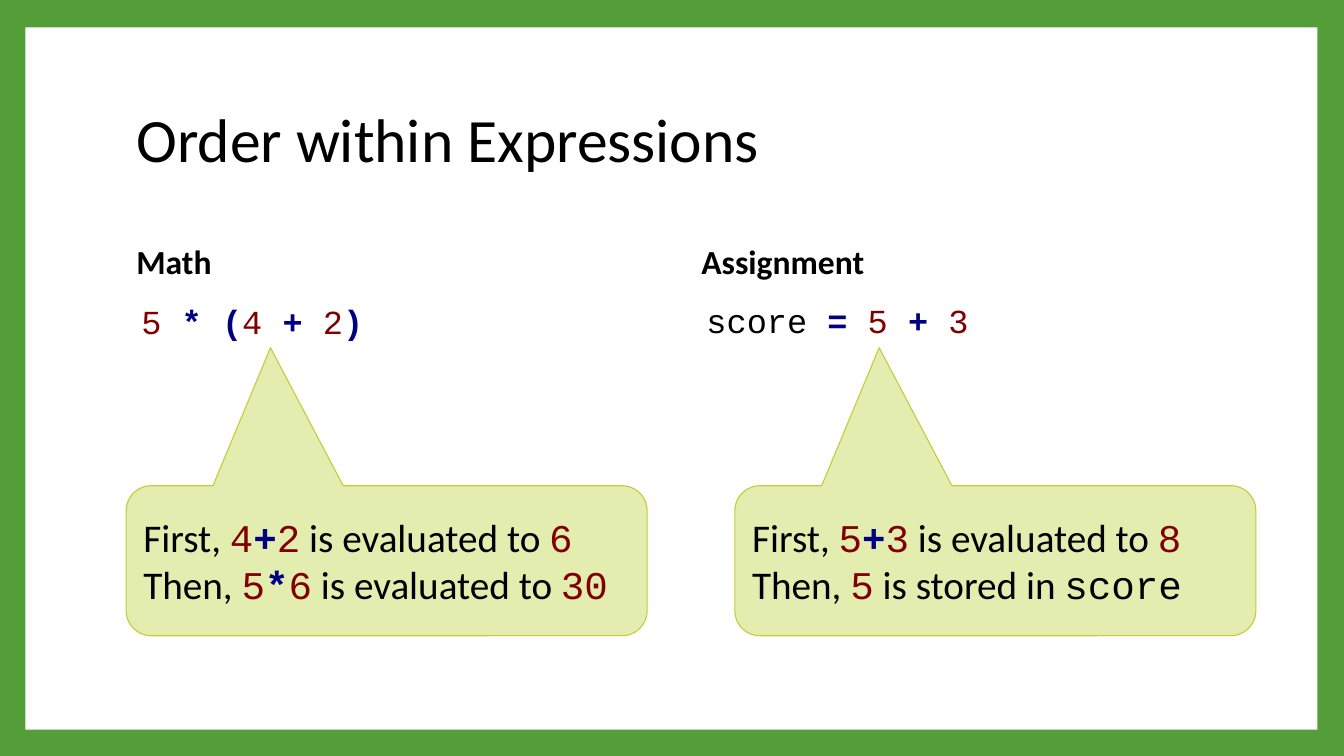
from itertools import groupby

from lxml import etree
from pptx import Presentation
from pptx import util as u
from pptx.dml.color import RGBColor
from pptx.enum import shapes, text
from pptx.oxml import ns

STYLES = {
    "prose": {"name": "Calibri", "bold": False, "color": "000000"},
    "name": {"name": "Courier New", "bold": False, "color": "000000"},
    "number": {"name": "Courier New", "bold": False, "color": "800000"},
    "operator": {"name": "Courier New", "bold": True, "color": "000080"},
    "heading": {"name": "Calibri", "bold": True, "color": "000000"},
}


def paint(target, value):
    target.rgb = RGBColor.from_string(value)


def write(paragraph, pieces, size):
    for style, words in pieces:
        run = paragraph.add_run()
        run.text = words
        run.font.size = u.Pt(size)
        for key, value in STYLES[style].items():
            if key == "color":
                paint(run.font.color, value)
            else:
                setattr(run.font, key, value)


columns = [
    {
        "left": 3.18, "code_top": 7.57, "steps_left": 3.18,
        "heading": "Math",
        "code": "`5 * (4 + 2)`",
        "steps": ["First, `4+2` is evaluated to `6`", "Then, `5*6` is evaluated to `30`"],
    },
    {
        "left": 17.42, "code_top": 7.54, "steps_left": 18.52,
        "heading": "Assignment",
        "code": "`score = 5 + 3`",
        "steps": ["First, `5+3` is evaluated to `8`", "Then, `5` is stored in `score`"],
    },
]

deck = Presentation()
deck.slide_width, deck.slide_height = u.Cm(33.87), u.Cm(19.05)
slide = deck.slides.add_slide(deck.slide_layouts.get_by_name("Comparison"))
slide.background.fill.solid()
paint(slide.background.fill.fore_color, "549E39")

title = slide.shapes.title
panel = slide.shapes.add_shape(
    shapes.MSO_SHAPE.RECTANGLE, u.Cm(0.64), u.Cm(0.69), u.Cm(32.56), u.Cm(17.7))
panel.shadow.inherit = False
panel.fill.solid()
paint(panel.fill.fore_color, "FFFFFF")
panel.line.fill.background()
title.element.addprevious(panel.element)

middle, top = text.MSO_ANCHOR.MIDDLE, text.MSO_ANCHOR.TOP
blocks = [(title, (3.18, 1.7, 27.43, 3.76), middle, 0, "prose", "Order within Expressions", 44)]
for number, column in enumerate(columns):
    heading, code = [slide.placeholders[2 * number + offset] for offset in (1, 2)]
    blocks += [
        (heading, (column["left"], 5.56, 13.21, 2.16), middle, 0, "heading", column["heading"], 24),
        (code, (column["left"], column["code_top"], 13.21, 9.4), top, 0.13, "code", column["code"], 24),
    ]
    steps = slide.shapes.add_shape(
        shapes.MSO_SHAPE.ROUNDED_RECTANGULAR_CALLOUT,
        u.Cm(column["steps_left"]), u.Cm(12.24), u.Cm(13.13), u.Cm(3.78))
    for index, adjustment in enumerate((-0.223, -1.42, 0.167)):
        steps.adjustments[index] = adjustment
    steps.shadow.inherit = False
    steps.fill.solid()
    paint(steps.fill.fore_color, "E4EDB0")
    paint(steps.line.color, "C0CF3A")
    steps.line.width = u.Pt(0.79)
    blocks.append((steps, None, middle, 0, "code", "\n".join(column["steps"]), 28))

for shape, box, anchor, indent, style, words, size in blocks:
    if box:
        for side, length in zip(("left", "top", "width", "height"), box):
            setattr(shape, side, u.Cm(length))
    frame = shape.text_frame
    frame_format = {"word_wrap": True, "auto_size": text.MSO_AUTO_SIZE.NONE, "vertical_anchor": anchor}
    for key, value in frame_format.items():
        setattr(frame, key, value)
    for position, line in enumerate(words.split("\n")):
        paragraph = frame.add_paragraph() if position else frame.paragraphs[0]
        properties = paragraph._p.get_or_add_pPr()
        properties.set("marL", str(u.Cm(indent)))
        properties.set("indent", "0")
        etree.SubElement(properties, ns.qn("a:buNone"))
        paragraph_format = {
            "alignment": text.PP_ALIGN.LEFT,
            "line_spacing": 0.9 if box else 1.0,
            "space_before": u.Pt(0),
        }
        for key, value in paragraph_format.items():
            setattr(paragraph, key, value)
        if style != "code":
            write(paragraph, [(style, line)], size)
            continue
        for part, segment in enumerate(line.split("`")):
            if part % 2:
                kinds = groupby(segment, lambda sign: "number" if sign.isdigit()
                                else "operator" if sign in "+*=()" else "name")
                write(paragraph, [(kind, "".join(signs)) for kind, signs in kinds], size)
            elif segment:
                write(paragraph, [("prose", segment)], size)

deck.save("out.pptx")
